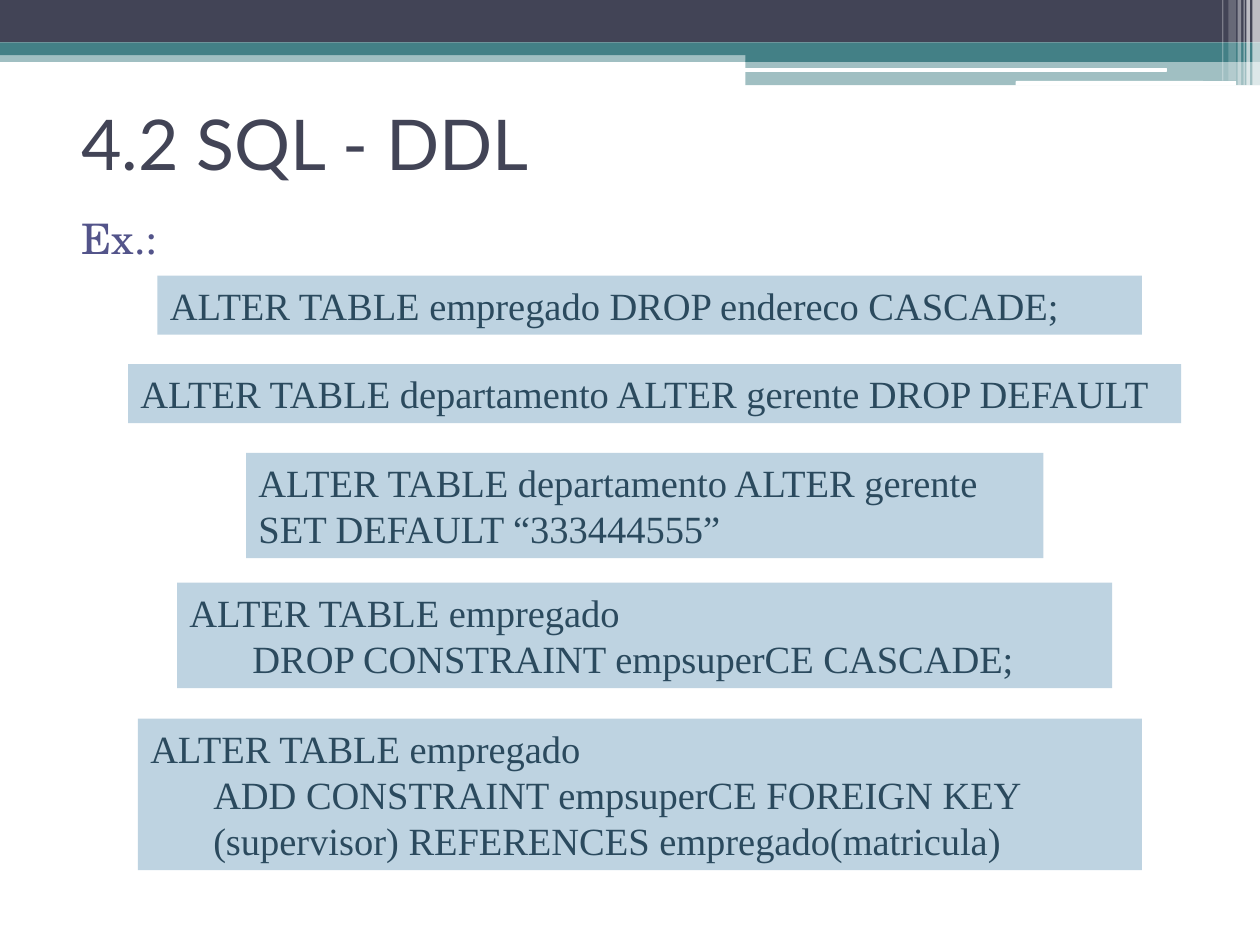
from lxml.etree import SubElement
from pptx import Presentation
from pptx.dml.color import RGBColor
from pptx.enum.shapes import MSO_SHAPE
from pptx.enum.text import MSO_ANCHOR, MSO_AUTO_SIZE, PP_ALIGN
from pptx.oxml.ns import qn
from pptx.util import Pt

TEAL, NAVY, WHITE = "438086", "424456", "FFFFFF"
BANDS = [
    (0, 28.8, 720, 6.6, TEAL, 50),
    (0, 0, 720, 24.3, NAVY, 100),
    (0, 24.3, 720, 7.2, TEAL, 100),
    (426, 28.2, 294, 7.2, TEAL, 100),
    (426, 34.7, 294, 14, TEAL, 50),
]
ROUNDED_BARS = [(425.6, 38.9, 241.2, 2.2), (580.4, 46.3, 126, 2.7)]
STRIPES = [
    (715.7, 4.3, 49, 65),
    (712.2, 2, 49, 65),
    (710.6, 0.7, 49, 60),
    (707.2, 2, 49, 40),
    (702, 4.3, 46.1, 20),
    (698.4, 0.7, 46.1, 30),
]
TITLE = "4.2 SQL - DDL"
EXAMPLE = "Ex.:"
STATEMENTS = [
    (90, 157.5, 562.5, ["ALTER TABLE empregado DROP endereco CASCADE;"]),
    (73.2, 208.1, 601.8, ["ALTER TABLE departamento ALTER gerente DROP DEFAULT"]),
    (140.6, 258.8, 455.6, ["ALTER TABLE departamento ALTER gerente",
                           "SET DEFAULT “333444555”"]),
    (101.2, 333, 534.4, ["ALTER TABLE empregado",
                         "\tDROP CONSTRAINT empsuperCE CASCADE;"]),
    (78.8, 410.6, 573.8, ["ALTER TABLE empregado",
                          "\tADD CONSTRAINT empsuperCE FOREIGN KEY",
                          "\t(supervisor) REFERENCES empregado(matricula)"]),
]
LINE_HEIGHT = 26.5
INSETS = 7.2


def color(value):
    return RGBColor.from_string(value)


def add_block(page, left, top, width, height, fill, opacity=100, kind=MSO_SHAPE.RECTANGLE):
    block = page.shapes.add_shape(kind, Pt(left), Pt(top), Pt(width), Pt(height))
    block.shadow.inherit = False
    block.line.fill.background()
    block.fill.solid()
    block.fill.fore_color.rgb = color(fill)
    if opacity < 100:
        solid = block.fill._xPr.find(qn("a:solidFill"))
        SubElement(solid[0], qn("a:alpha"), val=str(opacity * 1000))
    return block


def write_lines(shape, lines, font, size, ink):
    frame = shape.text_frame
    frame.word_wrap = True
    frame.text = "\n".join(lines)
    for paragraph in frame.paragraphs:
        paragraph.alignment = PP_ALIGN.LEFT
        paragraph.font.name = font
        paragraph.font.size = Pt(size)
        paragraph.font.color.rgb = color(ink)
    return frame


def add_bullet(paragraph, ink, margin, indent):
    properties = paragraph._p.get_or_add_pPr()
    properties.set("marL", str(Pt(margin)))
    properties.set("indent", str(Pt(indent)))
    bullet_color = SubElement(properties, qn("a:buClr"))
    SubElement(bullet_color, qn("a:srgbClr"), val=ink)
    SubElement(properties, qn("a:buFont"), typeface="Arial")
    SubElement(properties, qn("a:buChar"), char="•")


def main():
    deck = Presentation()
    deck.slide_width, deck.slide_height = Pt(720), Pt(540)
    page = deck.slides.add_slide(deck.slide_layouts[6])

    for band in BANDS:
        add_block(page, *band)
    for bar in ROUNDED_BARS:
        add_block(page, *bar, WHITE, kind=MSO_SHAPE.ROUNDED_RECTANGLE)
    for left, width, height, opacity in STRIPES:
        add_block(page, left, 0, width, height, WHITE, opacity)

    title = page.shapes.add_textbox(Pt(39.4), Pt(39.4), Pt(648), Pt(84.4))
    write_lines(title, [TITLE], "Lato", 40, NAVY).vertical_anchor = MSO_ANCHOR.MIDDLE

    example = page.shapes.add_textbox(Pt(39.4), Pt(118.1), Pt(648), Pt(39.4))
    add_bullet(example.text_frame.paragraphs[0], "A04DA3", 28.8, -20.2)
    write_lines(example, [EXAMPLE], "TeX Gyre Schola", 24, "53548A")

    for left, top, width, lines in STATEMENTS:
        height = len(lines) * LINE_HEIGHT + INSETS
        box = add_block(page, left, top, width, height, "BED3E1")
        frame = write_lines(box, lines, "Times New Roman", 22, "2B4A5E")
        frame.vertical_anchor = MSO_ANCHOR.TOP
        frame.auto_size = MSO_AUTO_SIZE.SHAPE_TO_FIT_TEXT

    deck.save("out.pptx")


if __name__ == "__main__":
    main()
